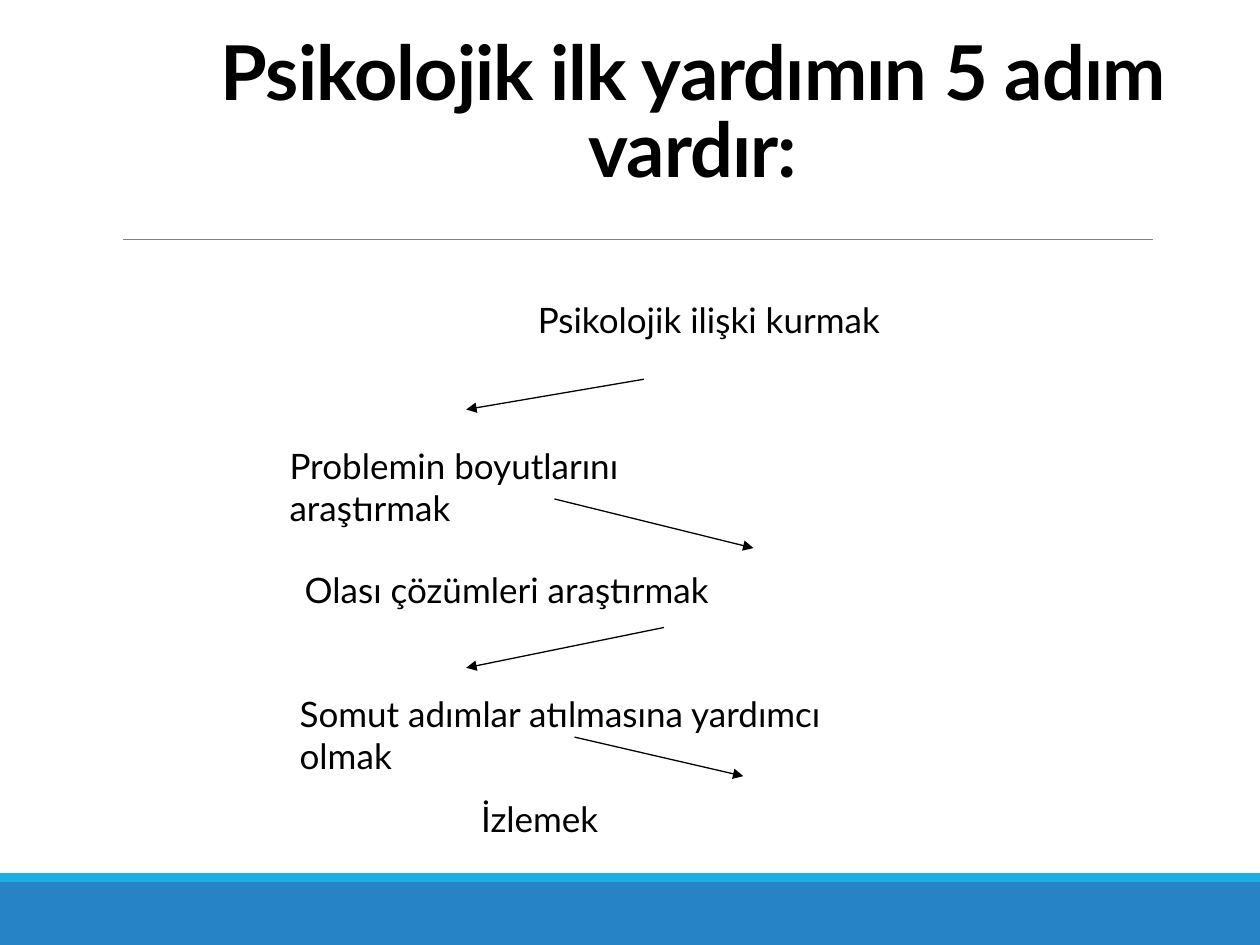
from lxml import etree
from pptx import Presentation
from pptx.dml.color import RGBColor
from pptx.enum.shapes import MSO_CONNECTOR, MSO_SHAPE
from pptx.enum.text import MSO_ANCHOR, PP_ALIGN
from pptx.oxml.ns import qn
from pptx.util import Inches, Pt

RECT, STRAIGHT = MSO_SHAPE.RECTANGLE, MSO_CONNECTOR.STRAIGHT
TOP, BOTTOM = MSO_ANCHOR.TOP, MSO_ANCHOR.BOTTOM
LEFT, CENTER = PP_ALIGN.LEFT, PP_ALIGN.CENTER

# The grid: 10 columns by 7.5 rows, one cell to the inch
COLS, ROWS = 10, 7.5
CELL = Inches(1)

BLACK, GREY, BLUE, CYAN = "000000", "808080", "2683C6", "1CADE4"
TITLE = {"name": "Lato", "size": Pt(43.2), "bold": True}
BODY = {"name": "Lato", "size": Pt(20)}


def rgb(color):
    return RGBColor.from_string(color)


def grid(*cells):
    return [round(c * CELL) for c in cells]


class Deck:
    """Holds the style and the current slide."""

    def __init__(self):
        self.prs = Presentation()
        self.prs.slide_width, self.prs.slide_height = grid(COLS, ROWS)
        self.s = self.prs.slides.add_slide(self.prs.slide_layouts[6])

    def band(self, row, height, color):
        sp = self.s.shapes.add_shape(RECT, *grid(0, row, COLS, height))
        sp.shadow.inherit = False
        sp.fill.solid()
        sp.fill.fore_color.rgb = rgb(color)
        sp.line.fill.background()

    def line(self, start, end, color=BLACK, width=0.75, arrow=True):
        cn = self.s.shapes.add_connector(STRAIGHT, *grid(*start, *end))
        cn.line.color.rgb = rgb(color)
        cn.line.width = Pt(width)
        if arrow:
            ln = cn.line._get_or_add_ln()
            etree.SubElement(ln, qn("a:tailEnd"), type="triangle")
        etree.SubElement(cn._element.spPr, qn("a:effectLst"))

    def text(self, words, box, style=BODY, anchor=TOP, align=LEFT,
             leading=1.0, tracking=0):
        tf = self.s.shapes.add_textbox(*grid(*box)).text_frame
        tf.word_wrap = True
        tf.vertical_anchor = anchor
        p = tf.paragraphs[0]
        p.alignment, p.line_spacing = align, leading
        r = p.add_run()
        r.text = words
        for key, value in style.items():
            setattr(r.font, key, value)
        r.font.color.rgb = rgb(BLACK)
        if tracking:
            r._r.get_or_add_rPr().set("spc", str(round(tracking * 100)))


def main():
    deck = Deck()

    # Footer bands and the rule below the title
    deck.band(7, 0.5, BLUE)
    deck.band(6.93, 0.07, CYAN)
    deck.line((0.98, 1.9), (9.15, 1.9), GREY, 0.5, arrow=False)

    # Title
    deck.text("Psikolojik ilk yardımın 5 adım vardır:", (1.5, 0.33, 8, 1.25),
              TITLE, BOTTOM, CENTER, leading=0.85, tracking=-0.5)

    # The five steps: words, column, row, width
    steps = [
        ("Psikolojik ilişki kurmak", 4.17, 2.32, 2.96),
        ("Problemin boyutlarını araştırmak", 2.2, 3.48, 4.1),
        ("Olası çözümleri araştırmak", 2.32, 4.46, 4.57),
        ("Somut adımlar atılmasına yardımcı olmak", 2.28, 5.45, 5.04),
        ("İzlemek", 3.72, 6.28, 1.13),
    ]
    for words, col, row, width in steps:
        deck.text(words, (col, row, width, 0.43))

    # Arrows from each step to the next
    arrows = [
        ((5.11, 3.01), (3.7, 3.25)),
        ((4.4, 3.96), (5.98, 4.35)),
        ((5.27, 4.98), (3.7, 5.3)),
        ((4.56, 5.85), (5.9, 6.16)),
    ]
    for start, end in arrows:
        deck.line(start, end)

    deck.prs.save("out.pptx")


if __name__ == "__main__":
    main()
